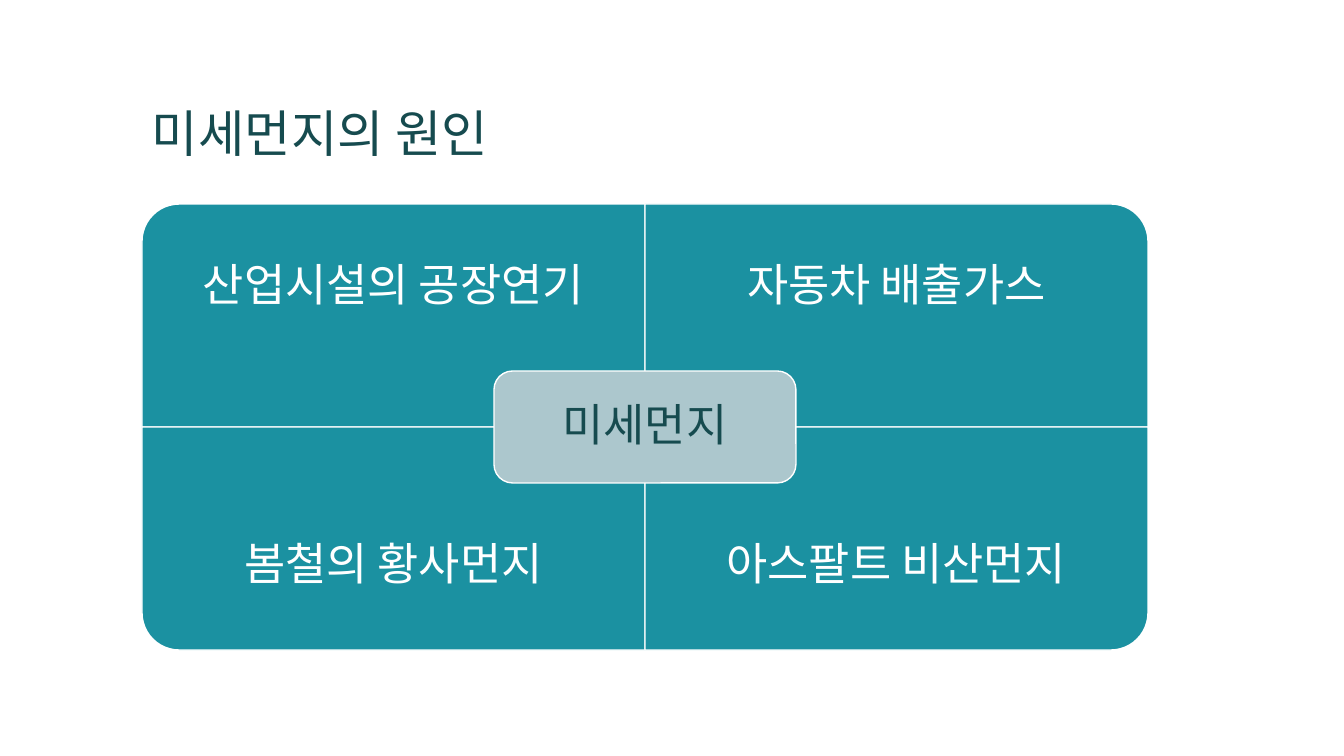
from lxml import etree
from pptx import Presentation
from pptx import util as u
from pptx.dml.color import RGBColor
from pptx.enum import shapes, text
from pptx.oxml import ns

SCALE = 914400 / 100.8
COLORS = {"panel": "1B91A1", "center": "ACC7CD", "dark": "164B4F", "white": "FFFFFF"}
KOREAN = "Noto Sans CJK KR"
LEFT, TOP, WIDTH, HEIGHT = 142, 204, 503, 223
LABEL_HEIGHT = 167
CAUSES = [
    ("산업시설의 공장연기", 0, 0, 270),
    ("자동차 배출가스", 1, 0, 0),
    ("봄철의 황사먼지", 0, 1, 180),
    ("아스팔트 비산먼지", 1, 1, 90),
]


def px(*lengths):
    """Turn pixel lengths into EMU."""
    return [round(length * SCALE) for length in lengths]


def color(name):
    """Return a named colour."""
    return RGBColor.from_string(COLORS[name])


def add_block(page, kind, area, fill, rotation=0):
    """Add a filled shape with a thin white outline."""
    block = page.shapes.add_shape(kind, *px(*area))
    block.shadow.inherit = False
    block.rotation = rotation
    block.fill.solid()
    block.fill.fore_color.rgb = color(fill)
    block.line.color.rgb = color("white")
    block.line.width = u.Pt(1)
    return block


def add_label(page, words, area, size, font, shade, anchor, align, inset):
    """Add a single-paragraph text box."""
    box = page.shapes.add_textbox(*px(*area))
    frame = box.text_frame
    frame.word_wrap = True
    frame.vertical_anchor = anchor
    frame.margin_left = frame.margin_right = px(inset[0])[0]
    frame.margin_top = frame.margin_bottom = px(inset[1])[0]
    frame.text = words
    para = frame.paragraphs[0]
    para.alignment = align
    para.line_spacing = 0.9
    span = para.runs[0]
    span.font.size = u.Pt(size)
    span.font.name = font
    span.font.color.rgb = color(shade)
    asian = etree.SubElement(span.font._element, ns.qn("a:ea"))
    asian.set("typeface", KOREAN)


def add_cause(page, words, column, row, rotation):
    """Add one quadrant with its outer corner rounded, and its label."""
    left, top = LEFT + column * WIDTH, TOP + row * HEIGHT
    area = (left, top, WIDTH, HEIGHT)
    if rotation % 180:
        shift = (WIDTH - HEIGHT) / 2
        area = (left + shift, top - shift, HEIGHT, WIDTH)
    add_block(page, shapes.MSO_SHAPE.ROUND_1_RECTANGLE, area, "panel", rotation)
    label_top = top + row * (HEIGHT - LABEL_HEIGHT)
    add_label(page, words, (left, label_top, WIDTH, LABEL_HEIGHT), 32, "Roboto", "white",
              text.MSO_ANCHOR.MIDDLE, text.PP_ALIGN.CENTER, (25, 25))


def add_center(page, words):
    """Add the rounded box where the four quadrants meet."""
    width, height, inner = 302, 112, 6
    left, top = LEFT + WIDTH - width // 2, TOP + HEIGHT - height // 2
    add_block(page, shapes.MSO_SHAPE.ROUNDED_RECTANGLE, (left, top, width, height), "center")
    area = (left + inner, top + inner, width - 2 * inner, height - 2 * inner)
    add_label(page, words, area, 32, "Roboto", "dark",
              text.MSO_ANCHOR.MIDDLE, text.PP_ALIGN.CENTER, (13, 13))


def main():
    """Build the slide and save it."""
    deck = Presentation()
    deck.slide_width, deck.slide_height = px(1344, 756)
    page = deck.slides.add_slide(deck.slide_layouts[6])
    add_label(page, "미세먼지의 원인", (LEFT, 42, 1058, 126), 36, KOREAN, "dark",
              text.MSO_ANCHOR.BOTTOM, text.PP_ALIGN.LEFT, (10, 5))
    for cause in CAUSES:
        add_cause(page, *cause)
    add_center(page, "미세먼지")
    deck.save("out.pptx")


if __name__ == "__main__":
    main()
